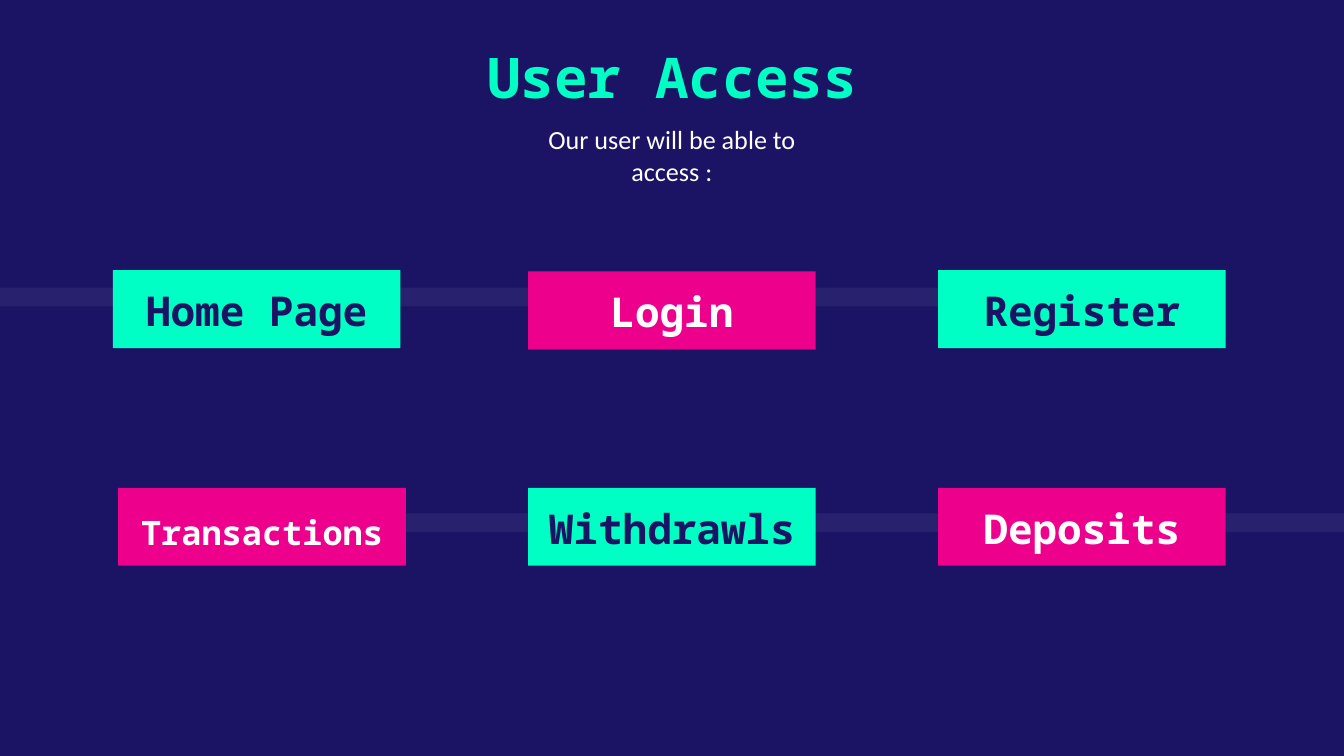
"""Build the User Access slide: a title, a subtitle and six labelled boxes over two bands."""
from lxml import etree
from pptx import Presentation
from pptx.dml.color import RGBColor
from pptx.enum.shapes import MSO_SHAPE
from pptx.enum.text import MSO_ANCHOR, MSO_AUTO_SIZE, PP_ALIGN
from pptx.oxml.ns import qn
from pptx.util import Inches, Pt

RECTANGLE = MSO_SHAPE.RECTANGLE
TOP, BOTTOM = MSO_ANCHOR.TOP, MSO_ANCHOR.BOTTOM
NO_AUTOFIT = MSO_AUTO_SIZE.NONE
CENTER = PP_ALIGN.CENTER

NAVY = RGBColor(0x1B, 0x14, 0x64)
MINT = RGBColor(0x00, 0xFF, 0xC5)
PINK = RGBColor(0xEC, 0x00, 0x8C)
WHITE = RGBColor(0xFF, 0xFF, 0xFF)
MONO, SANS = "Noto Sans Mono", "Calibri"


def add_box(s, x, y, w, h, fill):
    box = s.shapes.add_shape(RECTANGLE, Inches(x), Inches(y), Inches(w), Inches(h))
    box.shadow.inherit = False
    box.fill.solid()
    box.fill.fore_color.rgb = fill
    box.line.fill.background()
    return box


def set_text(sp, text, size, font, color, bold, anchor):
    tf = sp.text_frame
    tf.text = text
    tf.word_wrap = True
    tf.auto_size = NO_AUTOFIT
    tf.vertical_anchor = anchor
    tf.margin_left = tf.margin_right = tf.margin_top = tf.margin_bottom = Inches(0.1)
    p = tf.paragraphs[0]
    p.alignment = CENTER
    r = p.runs[0]
    r.font.size = Pt(size)
    r.font.name = font
    r.font.bold = bold
    r.font.color.rgb = color


prs = Presentation()
prs.slide_width = Inches(10)
prs.slide_height = Inches(10) * 9 // 16
s = prs.slides.add_slide(prs.slide_layouts[5])
s.background.fill.solid()
s.background.fill.fore_color.rgb = NAVY

for x, y, w in [(0, 2.14, 8.52), (1.02, 3.82, 8.98)]:
    band = add_box(s, x, y, w, 0.14, WHITE)
    color = band.element.spPr.find(qn("a:solidFill"))[0]
    etree.SubElement(color, qn("a:alpha"), val="6000")

title = s.shapes.title
title.left, title.top = Inches(1.4), Inches(0.22)
title.width, title.height = Inches(7.2), Inches(0.73)
set_text(title, "User Access", 30, MONO, MINT, True, TOP)

subtitle = s.shapes.add_textbox(Inches(3.83), Inches(0.82), Inches(2.34), Inches(0.73))
set_text(subtitle, "Our user will be able to access :", 14, SANS, WHITE, False, TOP)

pages = [
    ("Home Page", 0.84, 2.01, MINT, NAVY, 22),
    ("Login", 3.93, 2.02, PINK, WHITE, 22),
    ("Register", 6.98, 2.01, MINT, NAVY, 22),
    ("Transactions", 0.88, 3.63, PINK, WHITE, 18),
    ("Withdrawls", 3.93, 3.63, MINT, NAVY, 22),
    ("Deposits", 6.98, 3.63, PINK, WHITE, 22),
]
for label, x, y, fill, color, size in pages:
    box = add_box(s, x, y, 2.14, 0.58, fill)
    set_text(box, label, size, MONO, color, True, BOTTOM)

prs.save("out.pptx")
